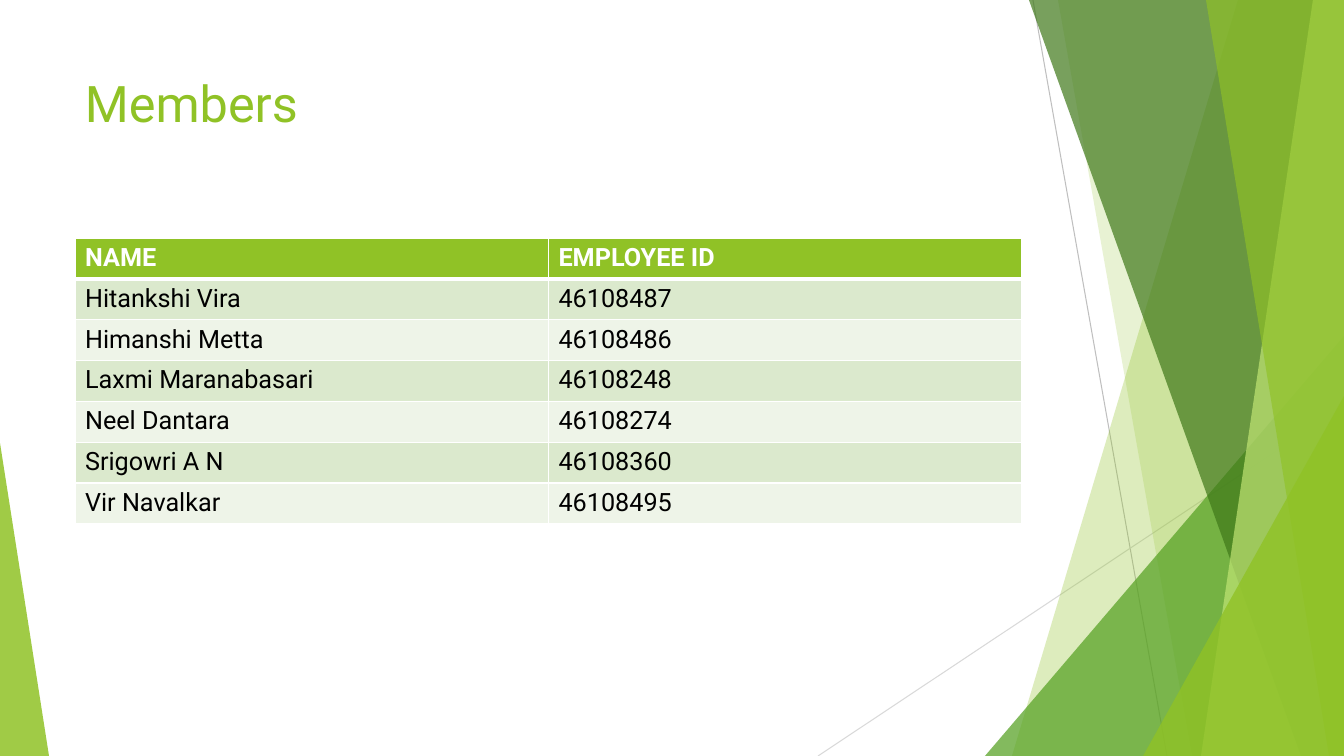
from collections import namedtuple

from lxml.etree import SubElement
from pptx import Presentation
from pptx.dml.color import RGBColor
from pptx.enum.shapes import MSO_CONNECTOR, MSO_SHAPE
from pptx.oxml import parse_xml
from pptx.oxml.ns import nsdecls, qn
from pptx.util import Pt

SCALE = 12192000 / 1344
FONT = "Roboto"
COLORS = {
    "lime": "90C226", "green": "54A021", "forest": "3F7819", "pale": "C0E474",
    "white": "FFFFFF", "black": "000000", "band_dark": "DBE9CD",
    "band_light": "EEF4E8", "line_dark": "BFBFBF", "line_light": "D9D9D9",
}
MEMBERS = [
    ("NAME", "EMPLOYEE ID"),
    ("Hitankshi Vira", "46108487"),
    ("Himanshi Metta", "46108486"),
    ("Laxmi Maranabasari", "46108248"),
    ("Neel Dantara", "46108274"),
    ("Srigowri A N", "46108360"),
    ("Vir Navalkar", "46108495"),
]
Box = namedtuple("Box", "left top width height")


def emu(pixels):
    """Turn pixels into EMU."""
    return round(pixels * SCALE)


def color(name):
    """Look up a named colour."""
    return RGBColor.from_string(COLORS[name])


def write(frame, text, size=18, ink="black", bold=False):
    """Put one formatted line of text into a text frame."""
    span = frame.paragraphs[0].add_run()
    span.text = text
    span.font.name = FONT
    span.font.size = Pt(size)
    span.font.bold = bold
    span.font.color.rgb = color(ink)


def paint(shape, fill, opacity):
    """Give a shape a see-through fill, no outline and no shadow."""
    shape.shadow.inherit = False
    shape.line.fill.background()
    shape.fill.solid()
    shape.fill.fore_color.rgb = color(fill)
    tint = shape.fill._xPr.find(qn("a:solidFill"))[0]
    SubElement(tint, qn("a:alpha"), val=str(opacity * 1000))


def add_ray(page, box, start, end, ink):
    """Draw a thin line between two points of the box."""
    ends = [emu(box[i] + point[i]) for point in (start, end) for i in (0, 1)]
    ray = page.shapes.add_connector(MSO_CONNECTOR.STRAIGHT, *ends)
    ray.line.color.rgb = color(ink)
    ray.line.width = Pt(0.75)
    SubElement(ray._element.spPr, qn("a:effectLst"))


def add_shard(page, box, top_left, bottom_left, fill, opacity):
    """Fill from a slanted left edge to the right edge of the box."""
    right, bottom = box.left + box.width, box.top + box.height
    builder = page.shapes.build_freeform(box.left + top_left, box.top, scale=SCALE)
    builder.add_line_segments([
        (right, box.top), (right, bottom), (box.left + bottom_left, bottom),
    ])
    paint(builder.convert_to_shape(), fill, opacity)


def add_corner(page, box, apex, fill, opacity):
    """Fill the box with a right triangle; apex is 0 for left, 1 for right."""
    corner = page.shapes.add_shape(MSO_SHAPE.ISOSCELES_TRIANGLE, *map(emu, box))
    corner.adjustments[0] = apex
    paint(corner, fill, opacity)


def add_right_corner(page, box, width, height, fill, opacity):
    """Fill the bottom right corner of the box with a triangle."""
    area = Box(box.left + box.width - width, box.top + box.height - height, width, height)
    add_corner(page, area, 1, fill, opacity)


def add_facets(page, box):
    """Layer the rays and green facets on the right side, back to front."""
    add_ray(page, box, (215, 0), (349, 756), "line_dark")
    add_ray(page, box, (526, 406), (0, 756), "line_light")
    add_shard(page, box, 420, 194, "lime", 30)
    add_shard(page, box, 240, 374, "lime", 20)
    add_right_corner(page, box, 359, 420, "green", 72)
    add_shard(page, box, 211, 483, "forest", 70)
    add_shard(page, box, 495, 383, "pale", 70)
    add_shard(page, box, 388, 511, "lime", 65)
    add_right_corner(page, box, 201, 360, "lime", 80)


def add_title(page, box, text):
    """Write the slide title."""
    frame = page.shapes.add_textbox(*map(emu, box)).text_frame
    frame.word_wrap = True
    write(frame, text, size=36, ink="lime")


def add_borders(cell, widths):
    """Edge a cell in white; widths are points for left, right, top, bottom."""
    properties = cell._tc.get_or_add_tcPr()
    for index, (side, width) in enumerate(zip("LRTB", widths)):
        properties.insert(index, parse_xml(
            f'<a:ln{side} {nsdecls("a")} w="{Pt(width)}"><a:solidFill>'
            f'<a:srgbClr val="{COLORS["white"]}"/></a:solidFill></a:ln{side}>'))


def add_member_table(page, box, rows):
    """Build the banded member table with a bold header row."""
    table = page.shapes.add_table(len(rows), len(rows[0]), *map(emu, box)).table
    for row, values in enumerate(rows):
        header = row == 0
        fill = "lime" if header else ("band_light", "band_dark")[row % 2]
        for column, text in enumerate(values):
            cell = table.cell(row, column)
            cell.fill.solid()
            cell.fill.fore_color.rgb = color(fill)
            add_borders(cell, (1, 1, 3 if row == 1 else 1, 3 if header else 1))
            write(cell.text_frame, text, ink="white" if header else "black", bold=header)


def build_members_page(deck):
    """Add the members slide to the deck."""
    page = deck.slides.add_slide(deck.slide_layouts[6])
    add_facets(page, Box(818, 0, 526, 756))
    add_corner(page, Box(0, 443, 49, 313), 0, "lime", 85)
    add_title(page, Box(75, 67, 947, 145), "Members")
    add_member_table(page, Box(75, 238, 947, 286), MEMBERS)


deck = Presentation()
deck.slide_width, deck.slide_height = emu(1344), emu(756)
build_members_page(deck)
deck.save("out.pptx")
